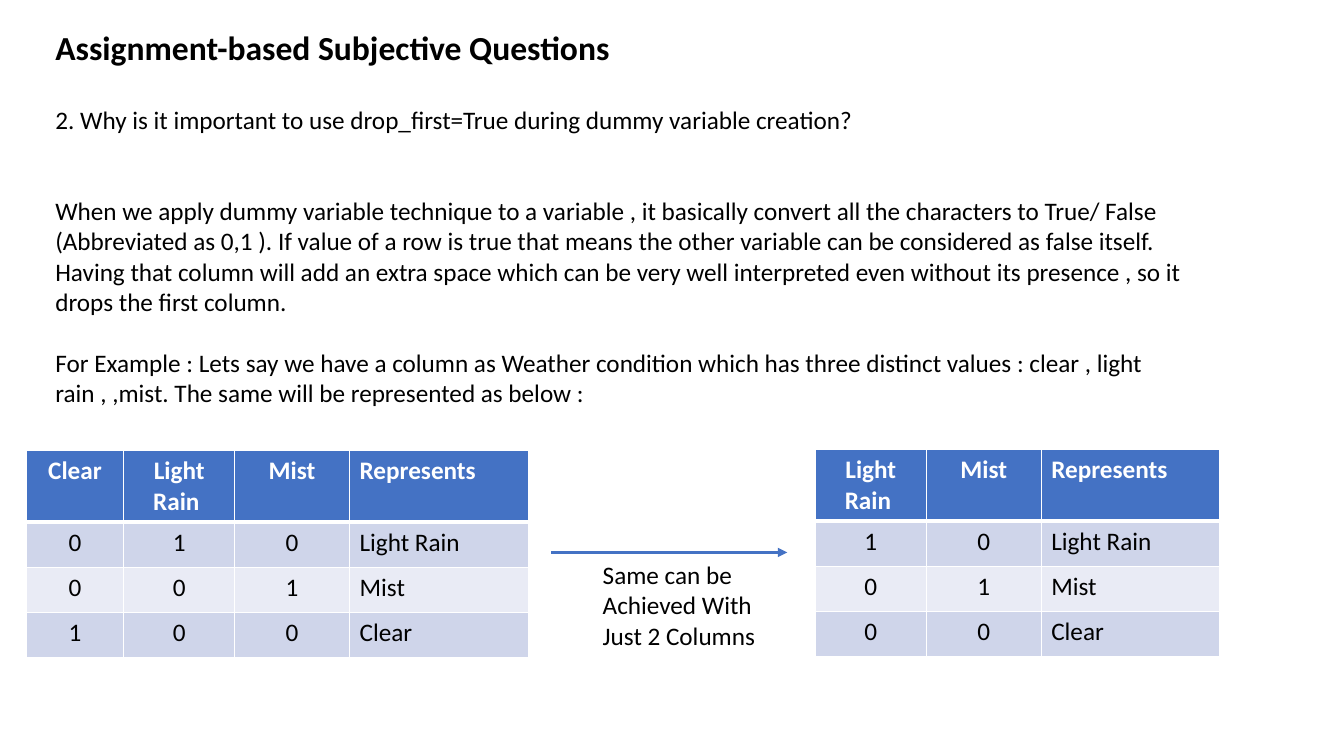
import dataclasses
import pptx
import pptx.dml.color
import pptx.enum.shapes
import pptx.enum.text
import pptx.oxml
import pptx.oxml.ns
import pptx.util

Cm = pptx.util.Cm
Pt = pptx.util.Pt
Align = pptx.enum.text.PP_ALIGN
Anchor = pptx.enum.text.MSO_ANCHOR


@dataclasses.dataclass(frozen=True)
class Theme:
    font: str = "Calibri"
    head: int = 24
    body: int = 18
    ink: str = "000000"
    white: str = "FFFFFF"
    blue: str = "4472C4"
    bands: tuple = ("CFD5EA", "E9EBF5")


THEME = Theme()
GRID = [
    ("Clear", "Light Rain ", "Mist", "Represents"),
    ("0", "1", "0", "Light Rain"),
    ("0", "0", "1", "Mist"),
    ("1", "0", "0", "Clear"),
]
WIDTHS = [2.46, 2.79, 2.9, 4.5]
HEAD_ROW, ROW = 1.75, 1.14


def paint(hue):
    return pptx.dml.color.RGBColor.from_string(hue)


def node(tag, **attrs):
    made = pptx.oxml.parse_xml(f"<a:{tag} {pptx.oxml.ns.nsdecls('a')}/>")
    for name, value in attrs.items():
        made.set(name, str(value))
    return made


def write(frame, *lines, size=THEME.body, hue=THEME.ink, bold=False,
          align=Align.LEFT, anchor=Anchor.TOP, lead=1.0, gap=0, wrap=True):
    frame.word_wrap = wrap
    frame.vertical_anchor = anchor
    for index, line in enumerate(lines):
        para = frame.paragraphs[0] if index == 0 else frame.add_paragraph()
        para.alignment = align
        para.line_spacing = lead
        para.space_before = Pt(gap if index else 0)
        run = para.add_run()
        run.text = line
        font = run.font
        font.name, font.size, font.bold = THEME.font, Pt(size), bold
        font.color.rgb = paint(hue)


def place(holder, box, *lines, **style):
    holder.left, holder.top, holder.width, holder.height = map(Cm, box)
    write(holder.text_frame, *lines, **style)
    holder.text_frame.auto_size = pptx.enum.text.MSO_AUTO_SIZE.NONE
    for para in holder.text_frame.paragraphs:
        props = para._p.get_or_add_pPr()
        props.set("marL", "0")
        props.set("indent", "0")
        props.append(node("buNone"))


def edge(cell, row):
    props = cell._tc.get_or_add_tcPr()
    thick = {"lnT": row == 1, "lnB": row == 0}
    for tag in ("lnL", "lnR", "lnT", "lnB"):
        line = node(tag, w=Pt(3 if thick.get(tag) else 1))
        fill = node("solidFill")
        fill.append(node("srgbClr", val=THEME.white))
        line.append(fill)
        props.append(line)


def table(slide, box, grid, widths):
    left, top = box
    high = HEAD_ROW + ROW * (len(grid) - 1)
    made = slide.shapes.add_table(len(grid), len(widths), Cm(left), Cm(top),
                                  Cm(sum(widths)), Cm(high)).table
    for column, width in zip(made.columns, widths):
        column.width = Cm(width)
    for r, line in enumerate(grid):
        first = r == 0
        made.rows[r].height = Cm(HEAD_ROW if first else ROW)
        for c, text in enumerate(line):
            cell = made.cell(r, c)
            last = c == len(line) - 1
            write(cell.text_frame, text, bold=first,
                  hue=THEME.white if first else THEME.ink,
                  align=Align.LEFT if last else Align.CENTER)
            edge(cell, r)
            cell.fill.solid()
            cell.fill.fore_color.rgb = paint(
                THEME.blue if first else THEME.bands[(r - 1) % 2])


def step(slide, box):
    left, top, width, height = box
    arrow = slide.shapes.add_connector(
        pptx.enum.shapes.MSO_CONNECTOR.STRAIGHT,
        Cm(left), Cm(top), Cm(left + width), Cm(top))
    arrow.line.color.rgb = paint(THEME.blue)
    arrow.line.width = Pt(2.25)
    arrow.line._get_or_add_ln().append(node("tailEnd", type="triangle"))
    arrow._element.spPr.append(node("effectLst"))
    label = slide.shapes.add_textbox(Cm(left + 1.05), Cm(top + 0.05),
                                     Cm(width - 1.48), Cm(height - 0.05))
    write(label.text_frame, "Same can be", "Achieved With", "Just 2 Columns",
          wrap=False)


def prose(slide, box):
    left, top, width = box
    title, ask, reply = slide.placeholders
    place(title, (left, top, 25.53, 1.55),
          "Assignment-based Subjective Questions",
          size=THEME.head, bold=True, anchor=Anchor.MIDDLE, lead=0.9)
    place(ask, (left, top + 2.03, 25.53, 1.02),
          "2. Why is it important to use drop_first=True during dummy "
          "variable creation?")
    place(reply, (left, top + 4.32, width, 5.64),
          "When we apply dummy variable technique to a variable , it "
          "basically convert all the characters to True/ False (Abbreviated "
          "as 0,1 ). If value of a row is true that means the other variable "
          "can be considered as false itself. Having that column will add an "
          "extra space which can be very well interpreted even without its "
          "presence , so it drops the first column.",
          "For Example : Lets say we have a column as Weather condition which "
          "has three distinct values : clear , light rain , ,mist. The same "
          "will be represented as below :", gap=22)


def main():
    deck = pptx.Presentation()
    deck.slide_width, deck.slide_height = Cm(33.87), Cm(19.05)
    slide = deck.slides.add_slide(deck.slide_layouts.get_by_name("Two Content"))
    prose(slide, (1.14, 0.48, 29.59))
    table(slide, (0.66, 11.35), GRID, WIDTHS)
    table(slide, (20.55, 11.33), [line[1:] for line in GRID], WIDTHS[1:])
    step(slide, (13.89, 13.92, 5.95, 2.62))
    deck.save("out.pptx")


if __name__ == "__main__":
    main()
